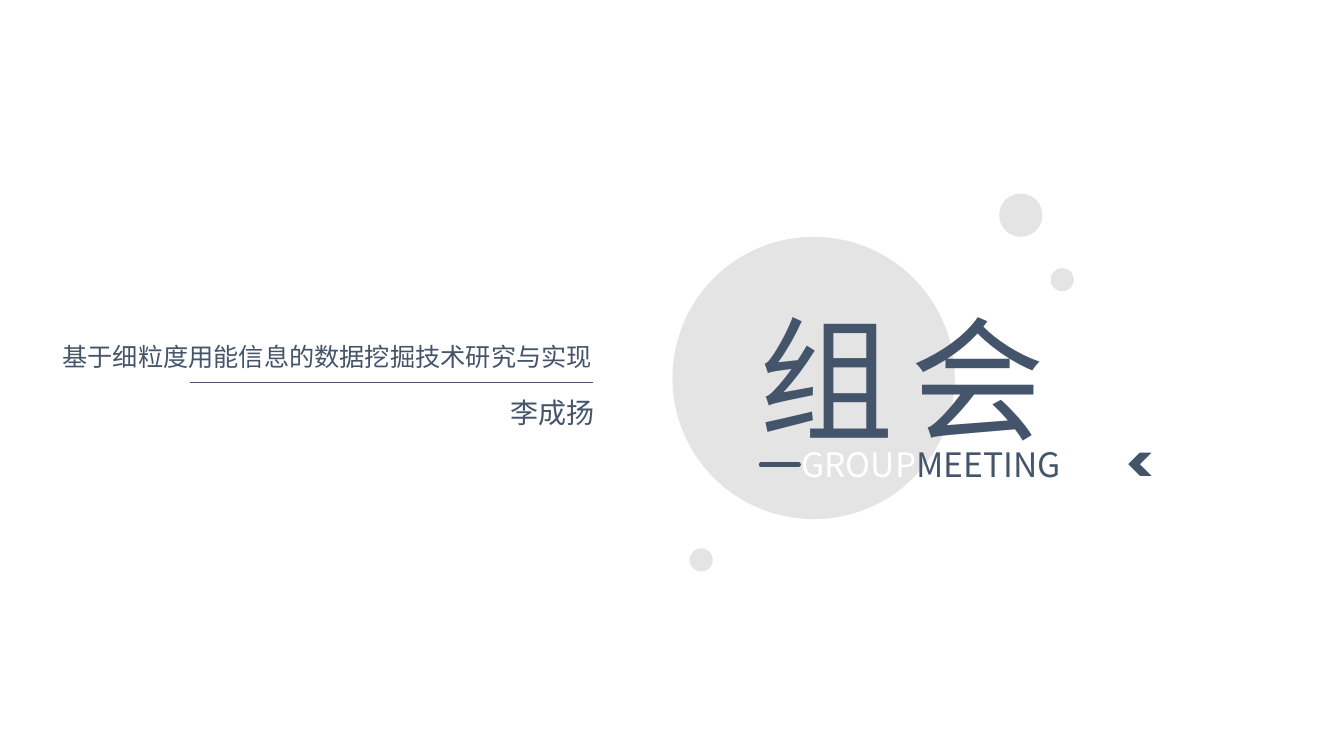
from pptx import Presentation
from pptx.dml.color import RGBColor
from pptx.enum.shapes import MSO_CONNECTOR as Connector, MSO_SHAPE as Preset
from pptx.enum.text import MSO_ANCHOR as Anchor, MSO_AUTO_SIZE as AutoSize, PP_ALIGN as Align
from pptx.oxml.ns import qn
from pptx.util import Inches, Pt
from lxml.etree import SubElement

TOPIC = "基于细粒度用能信息的数据挖掘技术研究与实现"
SPEAKER = "李成扬"
HEADING = ["组", "会"]
SUBHEADING = [("GROUP", "white"), ("MEETING", "navy")]
CIRCLES = [(6.67, 2.35, 2.8), (9.91, 1.92, 0.43), (10.42, 2.66, 0.23), (6.84, 5.44, 0.23)]
RULES = [(1.88, 5.88, 3.79, 0.5, "flat"), (7.55, 7.92, 4.61, 3.5, "rnd")]
HEADING_LEFT, HEADING_STEP = 7.43, 1.5

THEME = {
    "font": "Noto Sans CJK SC",
    "navy": RGBColor.from_string("44546A"),
    "white": RGBColor.from_string("FFFFFF"),
    "grey": RGBColor.from_string("D9D9D9"),
    "circle_alpha": 70,
    "heading": Pt(96),
    "subheading": Pt(24),
    "speaker": Pt(20),
    "topic": Pt(18),
}


def write_text(shape, runs, size, align=Align.LEFT, wrap=True, left=0.1, right=0.1):
    frame = shape.text_frame
    frame.word_wrap = wrap
    frame.auto_size = AutoSize.SHAPE_TO_FIT_TEXT
    frame.vertical_anchor = Anchor.TOP
    frame.margin_left, frame.margin_right = Inches(left), Inches(right)
    frame.margin_top = frame.margin_bottom = Inches(0.05)
    paragraph = frame.paragraphs[0]
    paragraph.alignment = align
    paragraph.line_spacing = 1.0
    for text, color in runs:
        run = paragraph.add_run()
        run.text = text
        run.font.size = THEME[size]
        run.font.name = THEME["font"]
        run.font.color.rgb = THEME[color]
        SubElement(run.font._element, qn("a:ea"), typeface=THEME["font"])


def add_text(slide, box, runs, size, **layout):
    shape = slide.shapes.add_textbox(*map(Inches, box))
    write_text(shape, runs, size, **layout)


def add_preset(slide, preset, box, color, alpha=None):
    shape = slide.shapes.add_shape(preset, *map(Inches, box))
    shape.shadow.inherit = False
    shape.fill.solid()
    shape.fill.fore_color.rgb = THEME[color]
    shape.line.fill.background()
    if alpha is not None:
        fill = shape._element.spPr.find(qn("a:solidFill"))
        SubElement(fill[0], qn("a:alpha"), val=str(alpha * 1000))
    return shape


def add_rule(slide, start, end, top, width, cap):
    rule = slide.shapes.add_connector(
        Connector.STRAIGHT, Inches(start), Inches(top), Inches(end), Inches(top))
    rule.line.color.rgb = THEME["navy"]
    rule.line.width = Pt(width)
    rule.line._get_or_add_ln().set("cap", cap)
    SubElement(rule._element.spPr, qn("a:effectLst"))


def main():
    presentation = Presentation()
    presentation.slide_width, presentation.slide_height = Inches(13.33), Inches(7.5)
    slide = presentation.slides.add_slide(presentation.slide_layouts[5])

    for left, top, diameter in CIRCLES:
        add_preset(slide, Preset.FLOWCHART_CONNECTOR, (left, top, diameter, diameter),
                   "grey", THEME["circle_alpha"])
    for index, character in enumerate(HEADING):
        add_text(slide, (HEADING_LEFT + index * HEADING_STEP, 2.89, 1.55, 1.72),
                 [(character, "navy")], "heading", wrap=False)
    add_text(slide, (7.85, 4.35, 3.27, 0.5), SUBHEADING, "subheading", align=Align.JUSTIFY)
    chevron = add_preset(slide, Preset.CHEVRON, (11.19, 4.49, 0.23, 0.23), "navy")
    chevron.rotation = 180
    for rule in RULES:
        add_rule(slide, *rule)

    title = slide.shapes.title
    title.left, title.top, title.width, title.height = map(Inches, (0.45, 3.34, 5.58, 0.4))
    write_text(title, [(TOPIC, "navy")], "topic", align=Align.RIGHT, left=0, right=0.16)
    add_text(slide, (2.45, 3.87, 3.55, 0.44), [(SPEAKER, "navy")], "speaker", align=Align.RIGHT)

    presentation.save("out.pptx")


if __name__ == "__main__":
    main()
